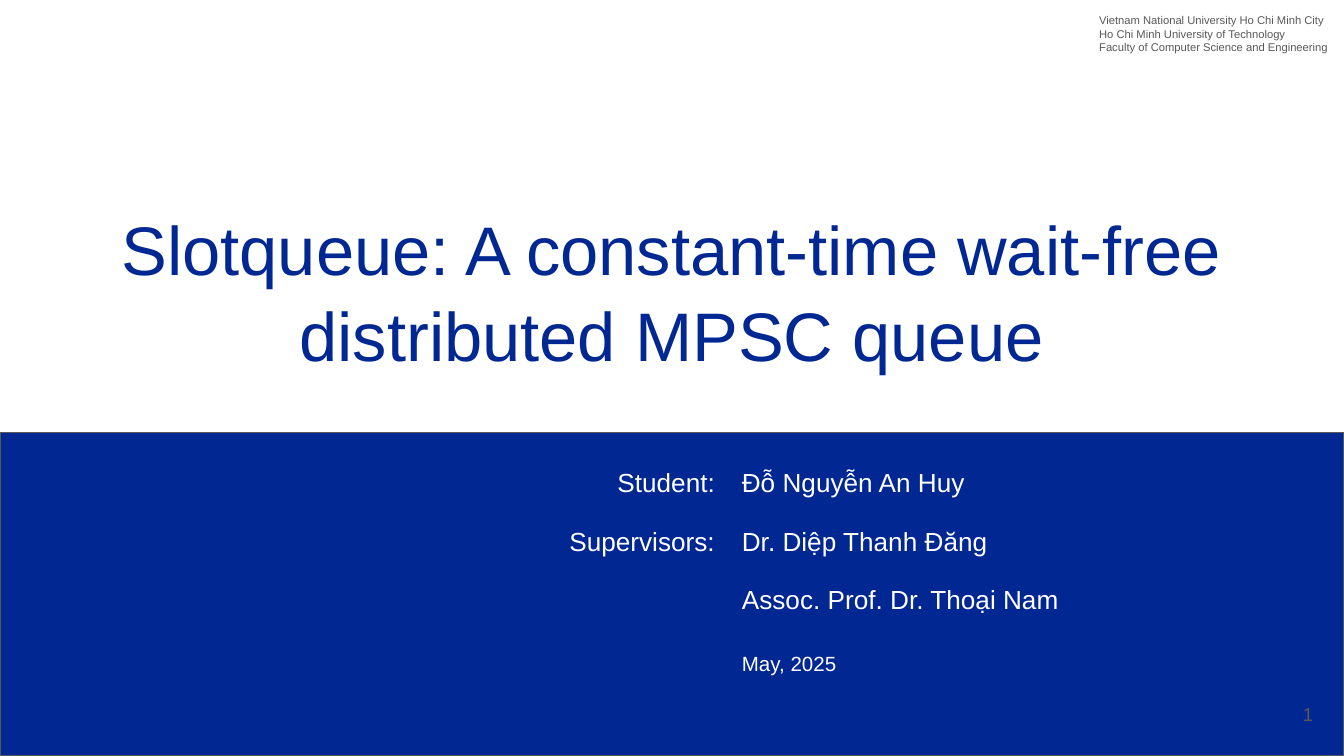
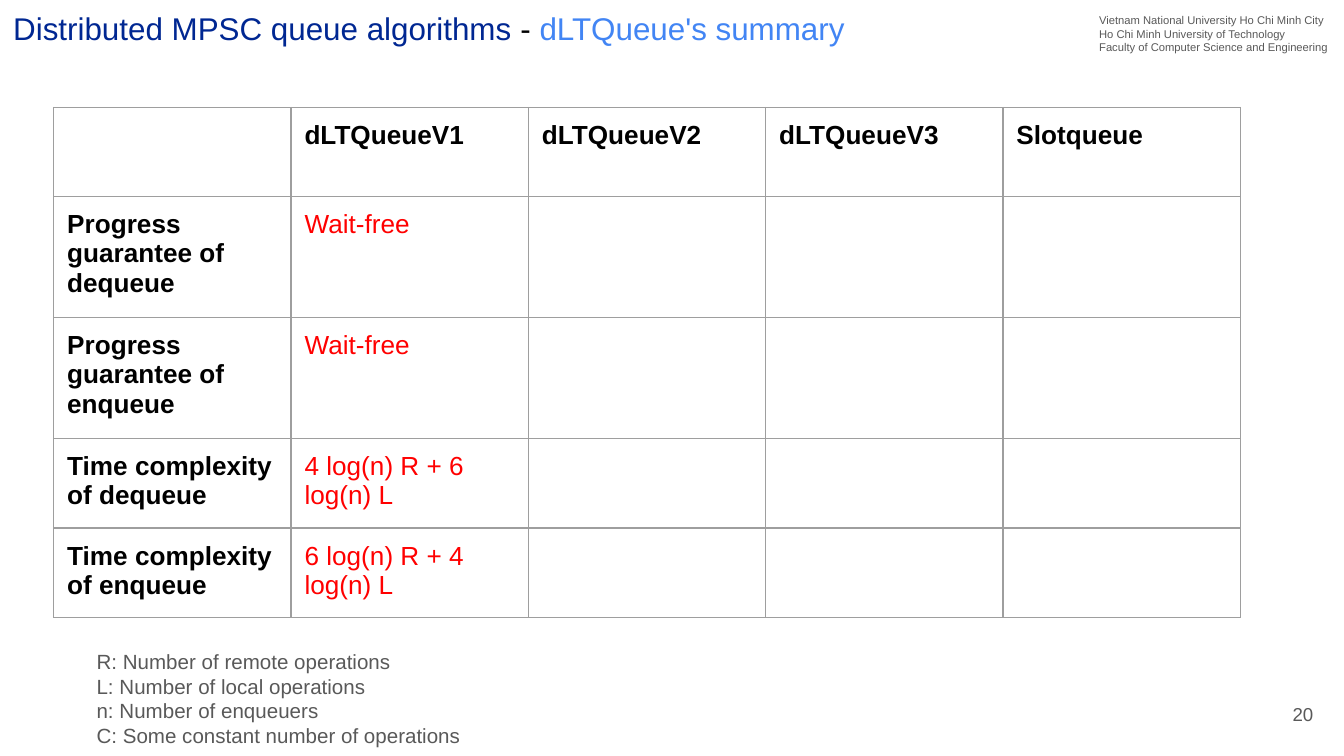
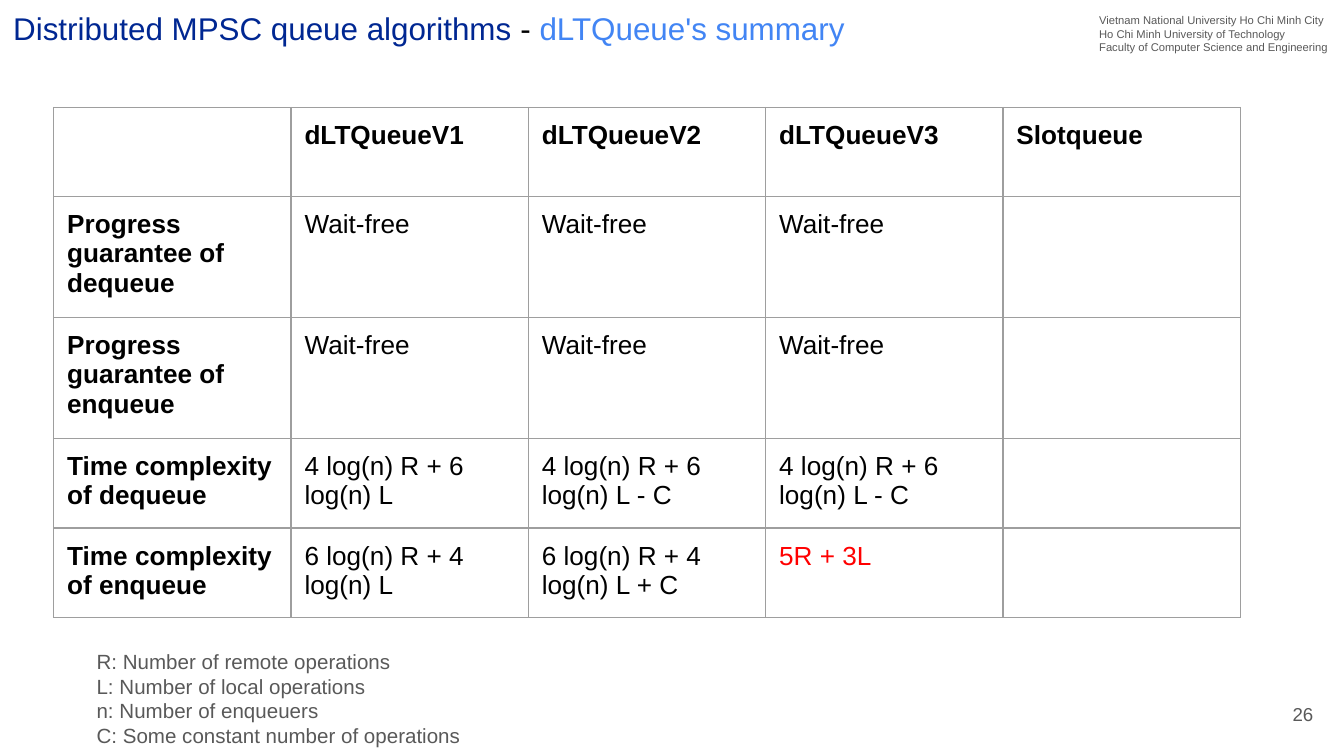
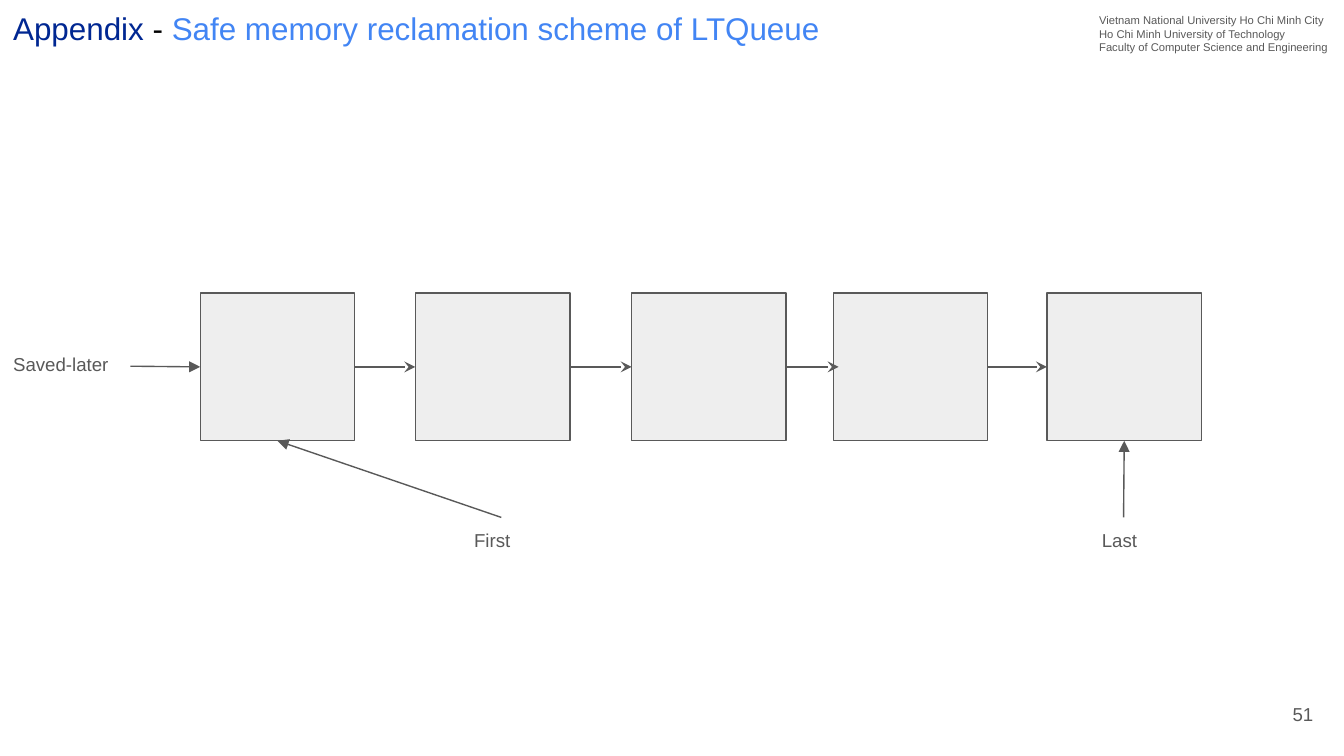
from lxml.etree import SubElement
from pptx import Presentation
from pptx.dml.color import RGBColor
from pptx.enum.shapes import MSO_CONNECTOR, MSO_SHAPE
from pptx.enum.text import MSO_ANCHOR, PP_ALIGN
from pptx.oxml import parse_xml
from pptx.oxml.ns import qn
from pptx.util import Inches, Pt

NAVY = RGBColor(0x00, 0x27, 0x92)
BLUE = RGBColor(0x42, 0x85, 0xF4)
GRAY = RGBColor(0x59, 0x59, 0x59)
PALE = RGBColor(0xEE, 0xEE, 0xEE)
RULE = RGBColor(0x9E, 0x9E, 0x9E)
RED = RGBColor(0xFF, 0x00, 0x00)
BLACK = RGBColor(0x00, 0x00, 0x00)
WHITE = RGBColor(0xFF, 0xFF, 0xFF)

# The grid has square cells, 100 columns by 56.25 rows
COLS, ROWS = 100, 56.25
CELL = Inches(0.1)
THIN = Pt(0.75)
PLAIN = "{2D5ABB26-0587-4C30-8999-92F81FD0307C}"  # table style without grid
MAIN = "http://schemas.openxmlformats.org/drawingml/2006/main"
TOP, LEFT, BOTTOM, RIGHT = range(4)

SCHOOL = ["Vietnam National University Ho Chi Minh City",
          "Ho Chi Minh University of Technology",
          "Faculty of Computer Science and Engineering"]
LEGEND = ["R: Number of remote operations", "L: Number of local operations",
          "n: Number of enqueuers", "C: Some constant number of operations"]
PEOPLE = [("Student:", "Đỗ Nguyễn An Huy"),
          ("Supervisors:", "Dr. Diệp Thanh Đăng"),
          ("", "Assoc. Prof. Dr. Thoại Nam"),
          ("", "May, 2025")]
HEADS = ["", "dLTQueueV1", "dLTQueueV2", "dLTQueueV3", "Slotqueue"]
TRAITS = ["Progress guarantee of dequeue", "Progress guarantee of enqueue",
          "Time complexity of dequeue", "Time complexity of enqueue"]
FREE = ["Wait-free", "Wait-free"]
FIRST = FREE + ["4 log(n) R + 6 log(n) L", "6 log(n) R + 4 log(n) L"]
SECOND = FREE + ["4 log(n) R + 6 log(n) L - C", "6 log(n) R + 4 log(n) L + C"]
THIRD = FREE + ["4 log(n) R + 6 log(n) L - C", "5R + 3L"]


def grid(*cells):
    return [round(n * CELL) for n in cells]


def apply(item, **fmt):
    for name, value in fmt.items():
        setattr(item, name, value)


class Deck:
    def __init__(self):
        self.show = Presentation()
        size = grid(COLS, ROWS)
        apply(self.show, slide_width=size[0], slide_height=size[1])
        self.slide = None

    def page(self, number, *title):
        """Start a slide with its school header, number and title line."""
        self.slide = self.show.slides.add_slide(self.show.slide_layouts[6])
        if title:
            self.text((0, 0, 71.6, 4.5), [title], 16.8, anchor=MSO_ANCHOR.BOTTOM)
        self.text((80.8, 0, 19.2, 5), SCHOOL, 6)
        self.text((92.7, 51, 6, 4.3), [str(number)], 10,
                  anchor=MSO_ANCHOR.MIDDLE, align=PP_ALIGN.RIGHT)

    def put(self, frame, lines, size, color=GRAY, bold=False, **fmt):
        """Each line is a string, or a series of (text, colour) runs."""
        for i, line in enumerate(lines):
            para = frame.add_paragraph() if i else frame.paragraphs[0]
            apply(para, **fmt)
            for part, tint in [(line, color)] if isinstance(line, str) else line:
                run = para.add_run()
                run.text = part
                apply(run.font, name="Arial", size=Pt(size), bold=bold)
                run.font.color.rgb = tint

    def text(self, area, lines, size, color=GRAY, anchor=MSO_ANCHOR.TOP,
             align=PP_ALIGN.LEFT, **fmt):
        box = self.slide.shapes.add_textbox(*grid(*area))
        apply(box.text_frame, word_wrap=True, vertical_anchor=anchor,
              margin_left=CELL, margin_right=CELL,
              margin_top=CELL, margin_bottom=CELL)
        self.put(box.text_frame, lines, size, color, alignment=align, **fmt)
        return box

    def rect(self, area, fill):
        box = self.slide.shapes.add_shape(MSO_SHAPE.RECTANGLE, *grid(*area))
        box.shadow.inherit = False
        box.fill.solid()
        box.fill.fore_color.rgb = fill
        box.line.color.rgb = GRAY
        box.line.width = THIN
        return box

    def arrow(self, start, side, end, goal=None, head="triangle"):
        """Run from a box side to another, or to a grid point if goal is None."""
        spot = grid(*end) if goal is None else (0, 0)
        line = self.slide.shapes.add_connector(MSO_CONNECTOR.STRAIGHT, 0, 0, *spot)
        line.begin_connect(start, side)
        if goal is not None:
            line.end_connect(end, goal)
        line.line.color.rgb = GRAY
        line.line.width = THIN
        SubElement(line.line._get_or_add_ln(), qn("a:tailEnd"), type=head)
        SubElement(line._element.spPr, qn("a:effectLst"))

    def table(self, spot, wide, highs, rows, look, border=None):
        """look(row, column, text) gives the text format of a cell."""
        count = len(rows[0])
        area = grid(*spot, wide * count, sum(highs))
        table = self.slide.shapes.add_table(len(rows), count, *area).table
        apply(table, first_row=False, horz_banding=False)
        table._tbl.tblPr.find(qn("a:tableStyleId")).text = PLAIN
        for column in table.columns:
            column.width = grid(wide)[0]
        for r, row in enumerate(rows):
            table.rows[r].height = grid(highs[r])[0]
            for c, words in enumerate(row):
                cell = table.cell(r, c)
                apply(cell, margin_left=CELL, margin_right=CELL,
                      margin_top=CELL, margin_bottom=CELL)
                if border:
                    self.frame(cell, border)
                cell.fill.background()
                if words:
                    self.put(cell.text_frame, [words], **look(r, c, words))

    def frame(self, cell, color):
        for side in "LRTB":
            cell._tc.get_or_add_tcPr().append(parse_xml(
                f'<a:ln{side} xmlns:a="{MAIN}" w="{THIN}"><a:solidFill>'
                f'<a:srgbClr val="{color}"/></a:solidFill></a:ln{side}>'))

    def summary(self, number, columns, fresh):
        """Comparison of the queues, with fresh results in red."""
        self.page(number, ("Distributed MPSC queue algorithms ", NAVY),
                  ("-", BLACK), (" dLTQueue's summary", BLUE))
        blank = [[""] * len(TRAITS)] * (len(HEADS) - 1 - len(columns))
        rows = [HEADS, *zip(TRAITS, *columns, *blank)]

        def look(r, c, words):
            return {"size": 14, "bold": r == 0 or c == 0,
                    "color": RED if words in fresh else BLACK}

        self.table((4, 8), 17.66, [6.6] + [4.2] * 4, rows, look, RULE)
        self.text((6.2, 47.3, 80.5, 8.9), LEGEND, 11)


def cover(deck):
    deck.page(1)
    # Band goes behind the slide number
    band = deck.rect((0, 32.2, COLS, ROWS - 32.2), NAVY)
    tree = deck.slide.shapes._spTree
    tree.insert(2, band._element)
    deck.text((3.4, 11.7, 93.2, 17.2),
              ["Slotqueue: A constant-time wait-free distributed MPSC queue"],
              36.8, NAVY, MSO_ANCHOR.BOTTOM, PP_ALIGN.CENTER, line_spacing=1.04)

    def look(r, c, words):
        return {"size": 11 if r == 3 else 14, "color": WHITE,
                "alignment": PP_ALIGN.LEFT if c else PP_ALIGN.RIGHT}

    deck.table((14.6, 33.9), 39.6, [4.2] * 4, PEOPLE, look)


def scheme(deck):
    deck.page(51, ("Appendix ", NAVY), ("- ", BLACK),
              ("Safe memory reclamation scheme of LTQueue", BLUE))
    # Chain of nodes
    nodes = [deck.rect((x, 21.8, 11.5, 11), PALE)
             for x in (14.9, 30.9, 47, 62, 77.9)]
    for i, (node, after) in enumerate(zip(nodes, nodes[1:])):
        if i == 2:  # this arrow reaches inside the next node
            deck.arrow(node, RIGHT, (62.4, 27.3), head="stealth")
        else:
            deck.arrow(node, RIGHT, after, LEFT, "stealth")
    # Labels that point at the ends of the chain
    for words, area, side, node, goal in [
            ("First", (34.3, 38.5, 6, 3.7), TOP, nodes[0], BOTTOM),
            ("Last", (81, 38.5, 5.2, 3.7), TOP, nodes[-1], BOTTOM),
            ("Saved-later", (0, 25.4, 9.7, 3.7), RIGHT, nodes[0], LEFT)]:
        deck.arrow(deck.text(area, [words], 10), side, node, goal)


def main():
    deck = Deck()
    cover(deck)
    deck.summary(20, [FIRST], FIRST)
    deck.summary(26, [FIRST, SECOND, THIRD], THIRD[-1:])
    scheme(deck)
    deck.show.save("out.pptx")


if __name__ == "__main__":
    main()
